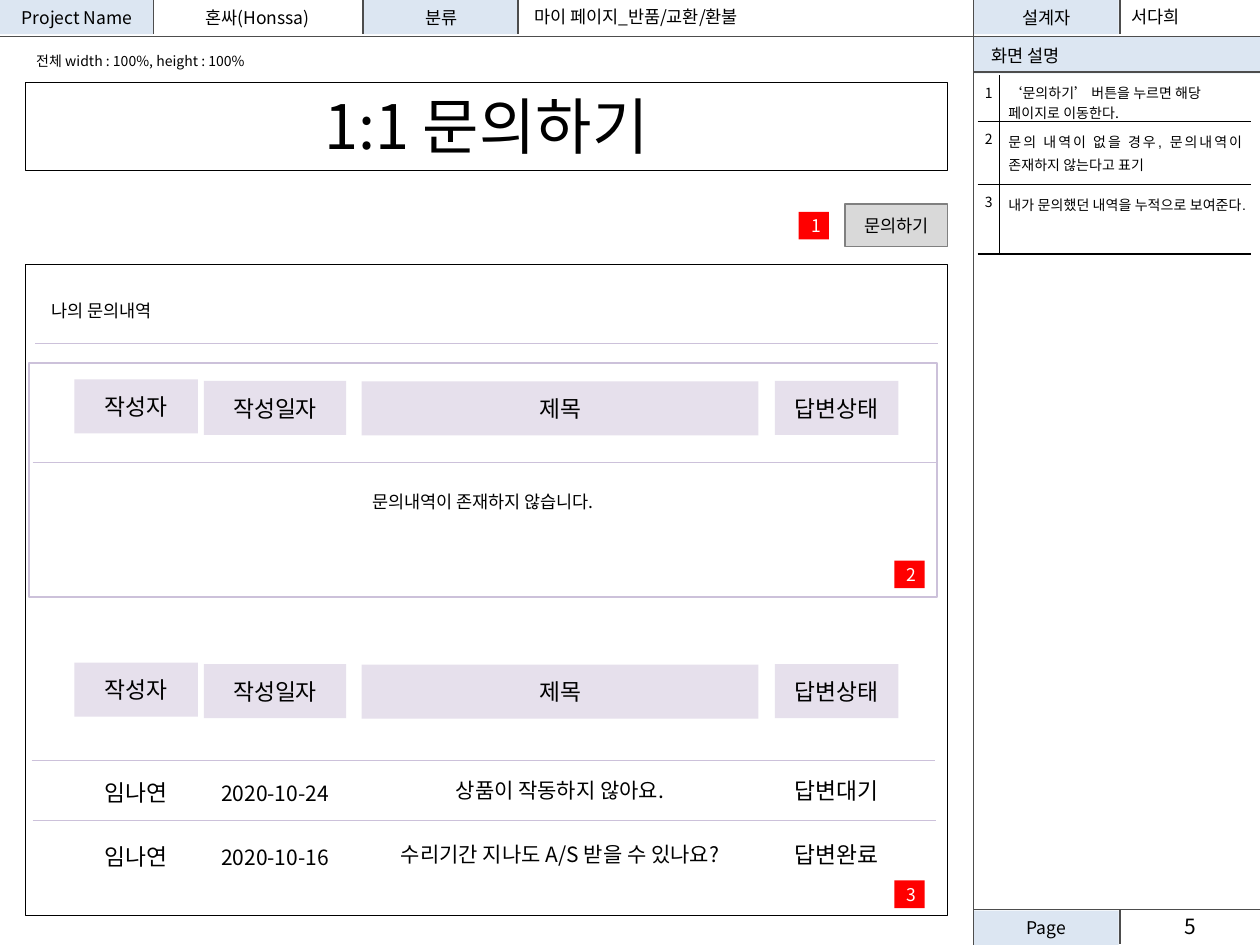
from dataclasses import dataclass
from typing import Any, Optional

from pptx import Presentation
from pptx.dml.color import RGBColor
from pptx.enum.shapes import MSO_CONNECTOR, MSO_SHAPE
from pptx.enum.text import MSO_ANCHOR, MSO_AUTO_SIZE, PP_ALIGN
from pptx.oxml.ns import qn
from pptx.util import Cm, Pt
from lxml.etree import SubElement

KR = "Noto Sans CJK KR"
BLUE, RED, LILAC, PURPLE = "DCE6F2", "FF0000", "E6E0EC", "CCC1DA"
GRAY, BLACK, WHITE = "4D4D4D", "000000", "FFFFFF"
LEFT, CENTER, JUSTIFY = PP_ALIGN.LEFT, PP_ALIGN.CENTER, PP_ALIGN.JUSTIFY


@dataclass
class Box:
    x: float
    y: float
    w: float
    h: float
    text: str = ""
    fill: Optional[str] = None
    line: Optional[str] = None
    weight: float = 1
    size: float = 10
    color: str = BLACK
    align: PP_ALIGN = CENTER
    left: float = 0.25
    top: float = 0.13
    shape: MSO_SHAPE = MSO_SHAPE.RECTANGLE


@dataclass
class Label:
    x: float
    y: float
    w: float
    h: float
    text: str
    size: float = 10
    align: PP_ALIGN = LEFT
    grow: bool = True


@dataclass
class Rule:
    x1: float
    y1: float
    x2: float
    y2: float
    color: str = GRAY
    weight: float = 0.75


@dataclass
class Column:
    x: float
    w: float
    heading: str
    size: float
    head_dy: float
    row_dy: float


def rgb(value: str) -> RGBColor:
    return RGBColor.from_string(value)


def apply(obj: Any, values: dict) -> None:
    for name, value in values.items():
        setattr(obj, name, value)


def place(sp: Any, item: Any) -> None:
    apply(sp, {"left": Cm(item.x), "top": Cm(item.y), "width": Cm(item.w), "height": Cm(item.h)})


def write(tf: Any, text: str, size: float, align: PP_ALIGN, color: str = BLACK,
          latin: str = KR, spacing: float = 1.0) -> None:
    p = tf.paragraphs[0]
    apply(p, {"alignment": align, "line_spacing": spacing})
    r = p.add_run()
    r.text = text
    apply(r.font, {"size": Pt(size), "name": latin})
    r.font.color.rgb = rgb(color)
    SubElement(r._r.get_or_add_rPr(), qn("a:ea"), typeface=KR)


def draw_box(s: Any, b: Box) -> None:
    sp = s.shapes.add_shape(b.shape, Cm(b.x), Cm(b.y), Cm(b.w), Cm(b.h))
    sp.shadow.inherit = False
    if b.fill:
        sp.fill.solid()
        sp.fill.fore_color.rgb = rgb(b.fill)
    else:
        sp.fill.background()
    if b.line:
        sp.line.color.rgb = rgb(b.line)
        sp.line.width = Pt(b.weight)
    else:
        sp.line.fill.background()
    if b.text:
        apply(sp.text_frame, {"word_wrap": True, "vertical_anchor": MSO_ANCHOR.MIDDLE,
                              "margin_left": Cm(b.left), "margin_top": Cm(b.top)})
        write(sp.text_frame, b.text, b.size, b.align, b.color)


def draw_label(s: Any, t: Label) -> None:
    tf = s.shapes.add_textbox(Cm(t.x), Cm(t.y), Cm(t.w), Cm(t.h)).text_frame
    apply(tf, {"word_wrap": True,
               "vertical_anchor": MSO_ANCHOR.TOP if t.grow else MSO_ANCHOR.MIDDLE,
               "auto_size": MSO_AUTO_SIZE.SHAPE_TO_FIT_TEXT if t.grow else MSO_AUTO_SIZE.NONE})
    write(tf, t.text, t.size, t.align)


def draw_rule(s: Any, rule: Rule) -> None:
    c = s.shapes.add_connector(MSO_CONNECTOR.STRAIGHT, Cm(rule.x1), Cm(rule.y1),
                               Cm(rule.x2), Cm(rule.y2))
    c.line.color.rgb = rgb(rule.color)
    c.line.width = Pt(rule.weight)
    SubElement(c._element.spPr, qn("a:effectLst"))


def set_borders(cell: Any, visible: set) -> None:
    tc_pr = cell._tc.get_or_add_tcPr()
    for side in "LRTB":
        ln = SubElement(tc_pr, qn(f"a:ln{side}"), w=str(Pt(0.75)))
        if side in visible:
            SubElement(SubElement(ln, qn("a:solidFill")), qn("a:srgbClr"), val=BLACK)
        else:
            SubElement(ln, qn("a:noFill"))


def draw_notes_table(s: Any) -> None:
    rows = [
        (0.93, "‘문의하기’ 버튼을 누르면 해당 페이지로 이동한다.", LEFT, KR, 1.0),
        (1.27, "문의 내역이 없을 경우, 문의내역이 존재하지 않는다고 표기", JUSTIFY, "Arial", 1.15),
        (1.4, "내가 문의했던 내역을 누적으로 보여준다.", JUSTIFY, "Arial", 1.15),
    ]
    table = s.shapes.add_table(3, 2, Cm(19.71), Cm(1.52), Cm(5.51), Cm(3.6)).table
    apply(table, {"first_row": False, "horz_banding": False})
    for column, width in zip(table.columns, (0.44, 5.07)):
        column.width = Cm(width)
    for i, (height, text, align, latin, spacing) in enumerate(rows):
        table.rows[i].height = Cm(height)
        number, note = table.cell(i, 0), table.cell(i, 1)
        for cell, side, margin in ((number, "R", 0.1), (note, "L", 0.18)):
            top = {"T"} if i else set()
            set_borders(cell, {side, "B"} | top)
            cell.fill.background()
            apply(cell, {"margin_left": Cm(margin), "margin_right": Cm(margin),
                         "margin_top": Cm(0.13), "margin_bottom": Cm(0)})
        write(number.text_frame, str(i + 1), 8, CENTER)
        write(note.text_frame, text, 8, align, latin=latin, spacing=spacing)


def draw_badge(s: Any, number: int, x: float, y: float) -> None:
    draw_box(s, Box(x, y, 0.61, 0.56, str(number), RED, color=WHITE))


COLUMNS = [
    Column(1.5, 2.49, "작성자", 13, 0, 0),
    Column(4.11, 2.87, "작성일자", 12, 0.03, 0.02),
    Column(7.29, 8, "제목", 12, 0.04, -0.04),
    Column(15.62, 2.49, "답변상태", 13, 0.03, -0.04),
]


def draw_headings(s: Any, y: float) -> None:
    for c in COLUMNS:
        draw_box(s, Box(c.x, y + c.head_dy, c.w, 1.09, c.heading, LILAC, size=13))


def draw_inquiry(s: Any, y: float, values: tuple) -> None:
    for c, value in zip(COLUMNS, values):
        draw_label(s, Label(c.x, y + c.row_dy, c.w, 0.89, value, c.size, CENTER, False))


def main() -> None:
    prs = Presentation()
    apply(prs, {"slide_width": Cm(25.4), "slide_height": Cm(19.05)})
    s = prs.slides.add_slide(prs.slide_layouts[5])

    title = s.shapes.title
    place(title, Box(0.51, 1.65, 18.59, 1.75))
    write(title.text_frame, "1:1 문의하기", 35, CENTER)

    for b in (
        Box(19.63, 18.36, 2.92, 0.69, "Page", BLUE),
        Box(19.63, 0, 2.92, 0.69, "설계자", BLUE),
        Box(19.63, 0.74, 5.77, 0.74, "화면 설명", BLUE, align=LEFT, left=0.35),
        Box(7.34, 0, 3.12, 0.69, "분류", BLUE),
        Box(0, 0, 3.1, 0.69, "Project Name", BLUE),
    ):
        draw_box(s, b)
    for x in (3.1, 7.32, 10.44, 22.58):
        draw_rule(s, Rule(x, 0, x, 0.69))
    for rule in (
        Rule(0, 0.74, 25.4, 0.74),
        Rule(19.63, 1.45, 25.4, 1.45),
        Rule(19.63, 0, 19.63, 19.05),
        Rule(19.63, 18.34, 25.4, 18.34),
        Rule(22.58, 18.34, 22.58, 19.02),
    ):
        draw_rule(s, rule)
    for t in (
        Label(3.1, 0.03, 4.19, 0.64, "혼싸(Honssa)", align=CENTER, grow=False),
        Label(22.56, 0, 2.59, 0.69, "서다희"),
        Label(10.52, 0, 7.59, 0.69, "마이 페이지_반품/교환/환불"),
        Label(22.58, 18.29, 2.84, 0.76, "5", 12, CENTER),
        Label(0.48, 0.94, 5.97, 0.94, "전체 width : 100%, height : 100%", 8),
    ):
        draw_label(s, t)
    draw_notes_table(s)

    for y, h in ((1.65, 1.78), (5.33, 13.13)):
        draw_box(s, Box(0.51, y, 18.59, h, line=BLACK, weight=0.25,
                        shape=MSO_SHAPE.FLOWCHART_PROCESS))
    draw_box(s, Box(17.04, 4.11, 2.06, 0.86, "문의하기", "D9D9D9", "808080"))
    draw_box(s, Box(0.58, 7.32, 18.31, 4.72, "문의내역이 존재하지 않습니다.", WHITE, PURPLE, top=0.99))
    draw_label(s, Label(0.79, 5.92, 6.12, 0.69, "나의 문의내역"))
    for x, y, weight in ((0.71, 6.93, 0.75), (0.66, 9.32, 0.25),
                         (0.64, 15.32, 0.25), (0.66, 16.54, 0.75)):
        draw_rule(s, Rule(x, y, x + 18.2, y, PURPLE, weight))

    for y in (7.65, 13.36):
        draw_headings(s, y)
    draw_inquiry(s, 15.52, ("임나연", "2020-10-24", "상품이 작동하지 않아요.", "답변대기"))
    draw_inquiry(s, 16.81, ("임나연", "2020-10-16", "수리기간 지나도 A/S 받을 수 있나요?", "답변완료"))
    for number, (x, y) in enumerate(((16.1, 4.27), (18.03, 11.3), (18.03, 17.75)), 1):
        draw_badge(s, number, x, y)

    prs.save("out.pptx")


if __name__ == "__main__":
    main()
